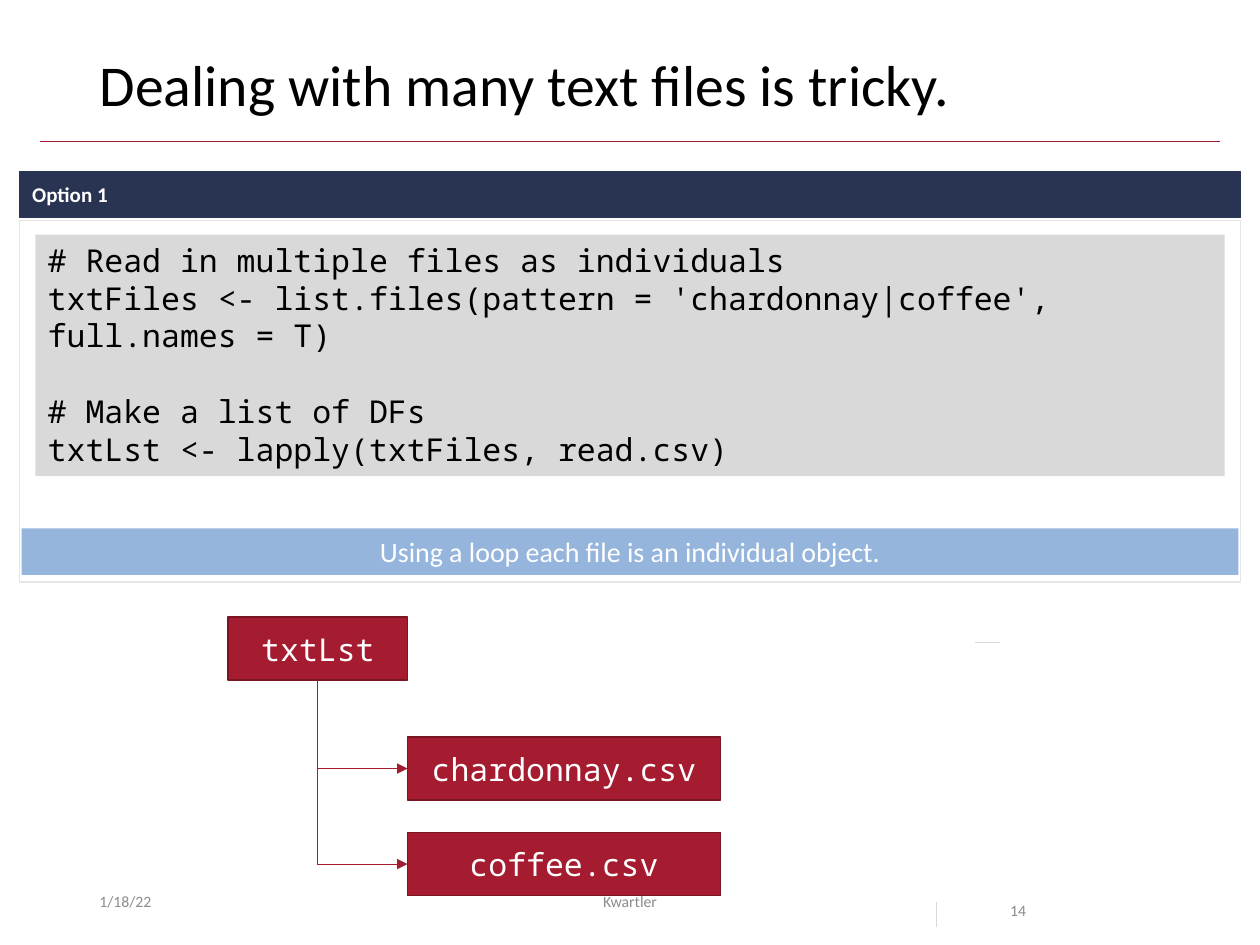
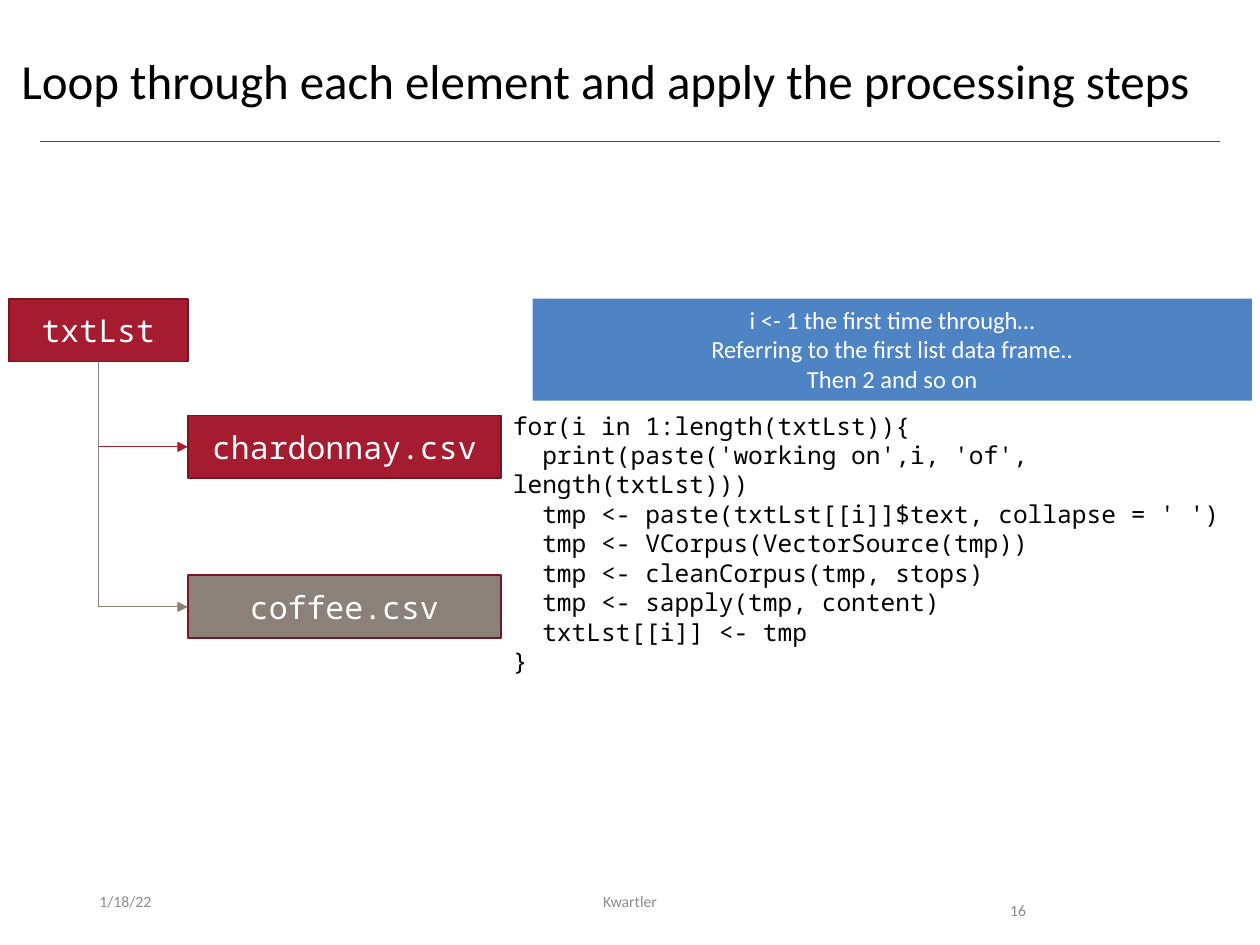
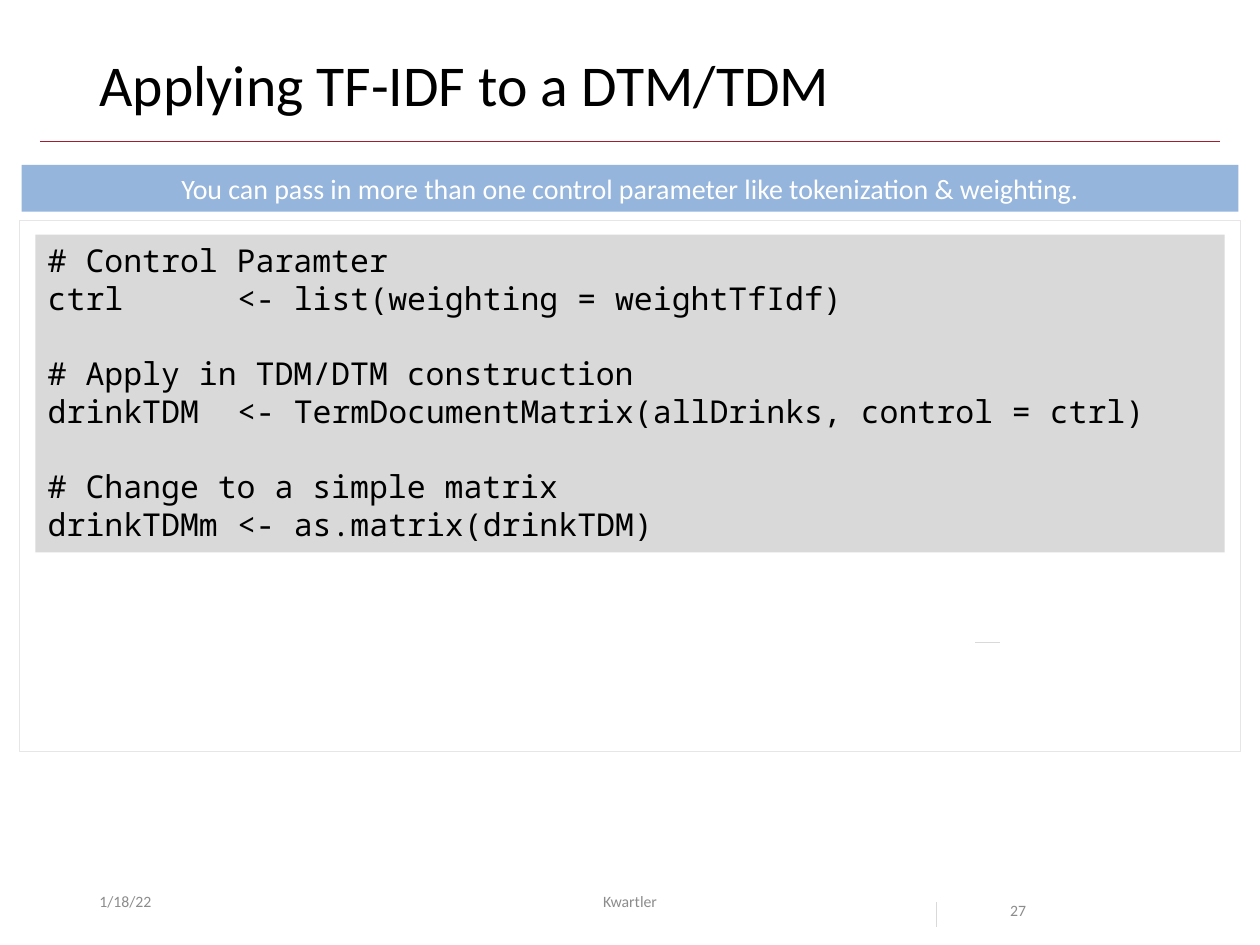
from lxml import etree
from pptx import Presentation
from pptx.dml.color import RGBColor
from pptx.enum.shapes import MSO_CONNECTOR, MSO_SHAPE
from pptx.enum.text import MSO_ANCHOR, MSO_AUTO_SIZE, PP_ALIGN
from pptx.oxml.ns import qn
from pptx.util import Pt

STRAIGHT, ELBOW = MSO_CONNECTOR.STRAIGHT, MSO_CONNECTOR.ELBOW
RECTANGLE = MSO_SHAPE.RECTANGLE
TOP, MIDDLE = MSO_ANCHOR.TOP, MSO_ANCHOR.MIDDLE
LEFT, CENTER = PP_ALIGN.LEFT, PP_ALIGN.CENTER
NO_AUTOFIT = MSO_AUTO_SIZE.NONE

BLACK, WHITE = "000000", "FFFFFF"
CRIMSON, DARK_CRIMSON, TAUPE = "A51C30", "7A1524", "8C8179"
NAVY, SKY, BLUE = "293352", "95B5DC", "4E84C4"
FOOTER_GREY, CODE_GREY, PANEL_GREY = "8C8C8C", "D9D9D9", "E7E6E6"
BODY_FONT, CODE_FONT = "Calibri", "Noto Sans Mono"

FOOTERS = [("1/18/22", 49.7, 162, LEFT), ("Kwartler", 238.5, 243, CENTER)]
MARKS = [(535, 515.5, 535, 530), (557.3, 367.2, 571.7, 367.2)]
NODE_HEIGHT, ROOT_WIDTH, FILE_WIDTH = 36, 102.4, 178.8
CODE_BLANK_LINE = 21.5

FILES_CODE = [
    ["# Read in multiple files as individuals",
     "txtFiles <- list.files(pattern = 'chardonnay|coffee', full.names = T)"],
    ["# Make a list of DFs",
     "txtLst <- lapply(txtFiles, read.csv)"],
]
LOOP_CODE = [[
    "for(i in 1:length(txtLst)){",
    "\tprint(paste('working on',i, 'of', length(txtLst)))",
    "\ttmp <- paste(txtLst[[i]]$text, collapse = ' ')",
    "\ttmp <- VCorpus(VectorSource(tmp))",
    "\ttmp <- cleanCorpus(tmp, stops)",
    "\ttmp <- sapply(tmp, content)",
    "\ttxtLst[[i]] <- tmp",
    "}",
]]
WEIGHTING_CODE = [
    ["# Control Paramter",
     "ctrl\t<- list(weighting = weightTfIdf)"],
    ["# Apply in TDM/DTM construction",
     "drinkTDM\t<- TermDocumentMatrix(allDrinks, control = ctrl)"],
    ["# Change to a simple matrix",
     "drinkTDMm\t<- as.matrix(drinkTDM)"],
]
LOOP_NOTES = [[
    "i <- 1 the first time through…",
    "Referring to the first list data frame..",
    "Then 2 and so on",
]]
LIST_TREE = [("chardonnay.csv", 421.2, CRIMSON), ("coffee.csv", 475.8, CRIMSON)]
LOOP_TREE = [("chardonnay.csv", 237.4, CRIMSON), ("coffee.csv", 328.8, TAUPE)]


def color(value):
    """Turn a hex string into a colour."""
    return RGBColor.from_string(value)


def add_element(parent, tag, **attributes):
    """Append a DrawingML element and return it."""
    return etree.SubElement(parent, qn(tag), attributes)


def write(shape, groups, size, ink, font=BODY_FONT, align=LEFT, anchor=TOP,
          bold=False, spacing=None, tab_stop=None):
    """Fill a shape with groups of lines, one blank line's gap between groups."""
    frame = shape.text_frame
    frame.word_wrap = True
    frame.auto_size = NO_AUTOFIT
    frame.vertical_anchor = anchor
    lines = [(line, number > 0 and position == 0)
             for number, group in enumerate(groups)
             for position, line in enumerate(group)]
    for number, (line, starts_group) in enumerate(lines):
        paragraph = frame.add_paragraph() if number else frame.paragraphs[0]
        paragraph.alignment = align
        paragraph.space_before = Pt(CODE_BLANK_LINE if starts_group else 0)
        if spacing:
            paragraph.line_spacing = spacing
        if tab_stop:
            tabs = add_element(paragraph._p.get_or_add_pPr(), "a:tabLst")
            add_element(tabs, "a:tab", pos=str(Pt(tab_stop)), algn="l")
        run = paragraph.add_run()
        run.text = line
        run.font.name = font
        run.font.size = Pt(size)
        run.font.bold = bold
        run.font.color.rgb = color(ink)


def add_box(slide, left, top, width, height, fill, border=None, weight=0.75):
    """Add a flat rectangle."""
    box = slide.shapes.add_shape(RECTANGLE, Pt(left), Pt(top), Pt(width), Pt(height))
    box.shadow.inherit = False
    box.fill.solid()
    box.fill.fore_color.rgb = color(fill)
    if border:
        box.line.color.rgb = color(border)
        box.line.width = Pt(weight)
    else:
        box.line.fill.background()
    return box


def add_text_box(slide, left, top, width, height, groups, size, ink, **style):
    """Add a text box."""
    box = slide.shapes.add_textbox(Pt(left), Pt(top), Pt(width), Pt(height))
    write(box, groups, size, ink, **style)


def add_line(slide, x1, y1, x2, y2, ink, kind=STRAIGHT):
    """Add a thin connector without a shadow."""
    connector = slide.shapes.add_connector(kind, Pt(x1), Pt(y1), Pt(x2), Pt(y2))
    connector.line.color.rgb = color(ink)
    connector.line.width = Pt(0.5)
    add_element(connector._element.spPr, "a:effectLst")
    return connector


def add_branch(slide, x1, y1, x2, y2, ink):
    """Add an arrow that runs down and then right."""
    middle_x, middle_y = (x1 + x2) / 2, (y1 + y2) / 2
    half_drop, half_run = (y2 - y1) / 2, (x2 - x1) / 2
    connector = add_line(slide, middle_x + half_drop, middle_y - half_run,
                         middle_x - half_drop, middle_y + half_run, ink, ELBOW)
    properties = connector._element.spPr
    properties.find(qn("a:xfrm")).set("rot", "16200000")
    properties.find(qn("a:prstGeom")).set("prst", "bentConnector2")
    add_element(properties.find(qn("a:ln")), "a:tailEnd", type="triangle")


def add_node(slide, left, top, width, label, fill):
    """Add one box of the list tree."""
    node = add_box(slide, left, top, width, NODE_HEIGHT, fill, DARK_CRIMSON, 1)
    write(node, [[label]], 18, WHITE, font=CODE_FONT, align=CENTER, anchor=MIDDLE)


def add_tree(slide, left, top, files):
    """Draw the list with an arrow to each of its files."""
    add_node(slide, left, top, ROOT_WIDTH, "txtLst", CRIMSON)
    file_left = left + ROOT_WIDTH
    for label, file_top, fill in files:
        add_node(slide, file_left, file_top, FILE_WIDTH, label, fill)
    for label, file_top, fill in files:
        add_branch(slide, left + ROOT_WIDTH / 2, top + NODE_HEIGHT,
                   file_left, file_top + NODE_HEIGHT / 2, fill)


def add_code_panel(slide, panel_height, code_height, code, tab_stop=None):
    """Draw the framed panel with its code block."""
    add_box(slide, 11.3, 126, 697.6, panel_height, WHITE, PANEL_GREY)
    block = add_box(slide, 20.2, 134.1, 679.7, code_height, CODE_GREY)
    write(block, code, 18, BLACK, font=CODE_FONT, tab_stop=tab_stop)


def add_banner(slide, top, sentence):
    """Add the light blue message band."""
    banner = add_box(slide, 12.4, top, 695.3, 26.7, SKY)
    write(banner, [[sentence]], 16, WHITE, align=CENTER)


def add_marks(slide):
    """Add the two short grey ticks."""
    for mark in MARKS:
        add_line(slide, *mark, CODE_GREY)


def start_slide(presentation, heading, number, left=49.7, width=620.6, size=33):
    """Add a slide with its title, rule and footer."""
    slide = presentation.slides.add_slide(presentation.slide_layouts[5])
    add_line(slide, 23, 80.8, 697, 80.8, CRIMSON)
    title = slide.shapes.title
    title.left, title.top, title.width, title.height = (
        Pt(left), Pt(28.8), Pt(width), Pt(46.8))
    write(title, [[heading]], size, BLACK, spacing=0.9)
    for label, footer_left, footer_width, align in FOOTERS:
        add_text_box(slide, footer_left, 500.5, footer_width, 28.8, [[label]], 9,
                     FOOTER_GREY, align=align, anchor=MIDDLE)
    add_text_box(slide, 570.2, 500.5, 67.7, 28.8, [[str(number)]], 9,
                 FOOTER_GREY, spacing=2.0)
    return slide


def build_option_slide(presentation):
    """Build the slide on reading many files."""
    slide = start_slide(presentation, "Dealing with many text files is tricky.", 14)
    add_code_panel(slide, 206.6, 138, FILES_CODE)
    header = add_box(slide, 11.3, 98, 697.6, 26.2, NAVY, NAVY)
    frame = header.text_frame
    frame.margin_top = frame.margin_bottom = Pt(7.2)
    write(header, [["Option 1"]], 12, WHITE, anchor=MIDDLE, bold=True)
    add_banner(slide, 301.9, "Using a loop each file is an individual object.")
    add_marks(slide)
    add_tree(slide, 130.5, 352.8, LIST_TREE)


def build_loop_slide(presentation):
    """Build the slide on looping through the list."""
    slide = start_slide(presentation,
                        "Loop through each element and apply the processing steps",
                        16, left=5, width=715, size=28)
    add_tree(slide, 5, 170.7, LOOP_TREE)
    add_text_box(slide, 286, 231.1, 434, 143.3, LOOP_CODE, 14, BLACK,
                 font=CODE_FONT, tab_stop=16.8)
    notes = add_box(slide, 304.4, 170.7, 411, 58.2, BLUE)
    write(notes, LOOP_NOTES, 14, WHITE, align=CENTER)


def build_weighting_slide(presentation):
    """Build the slide on TF-IDF weighting."""
    slide = start_slide(presentation, "Applying TF-IDF to a DTM/TDM", 27)
    add_code_panel(slide, 303.5, 181.6, WEIGHTING_CODE, tab_stop=108.2)
    add_banner(slide, 94.3, "You can pass in more than one control parameter "
                            "like tokenization & weighting.")
    add_marks(slide)


def main():
    """Build and save the presentation."""
    presentation = Presentation()
    presentation.slide_width, presentation.slide_height = Pt(720), Pt(540)
    build_option_slide(presentation)
    build_loop_slide(presentation)
    build_weighting_slide(presentation)
    presentation.save("out.pptx")


if __name__ == "__main__":
    main()
